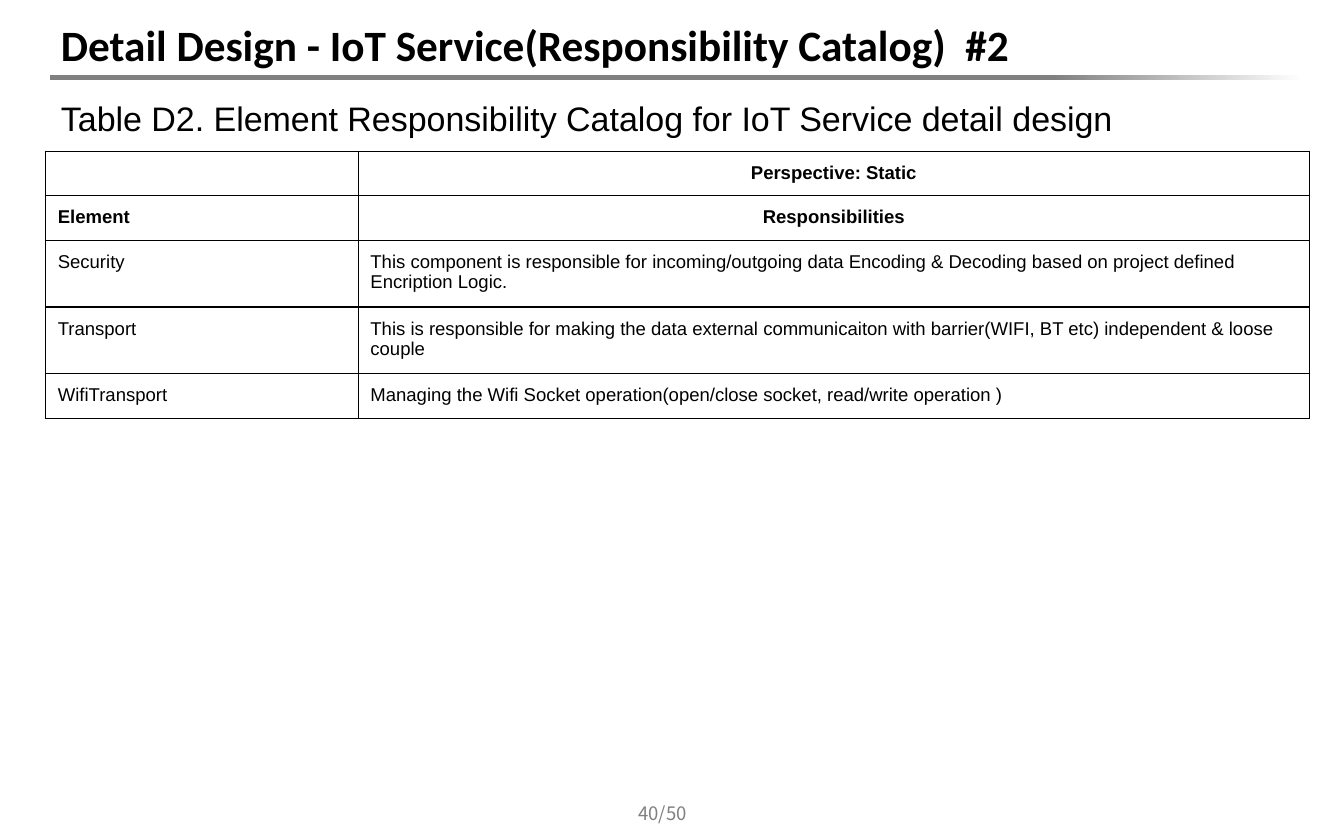
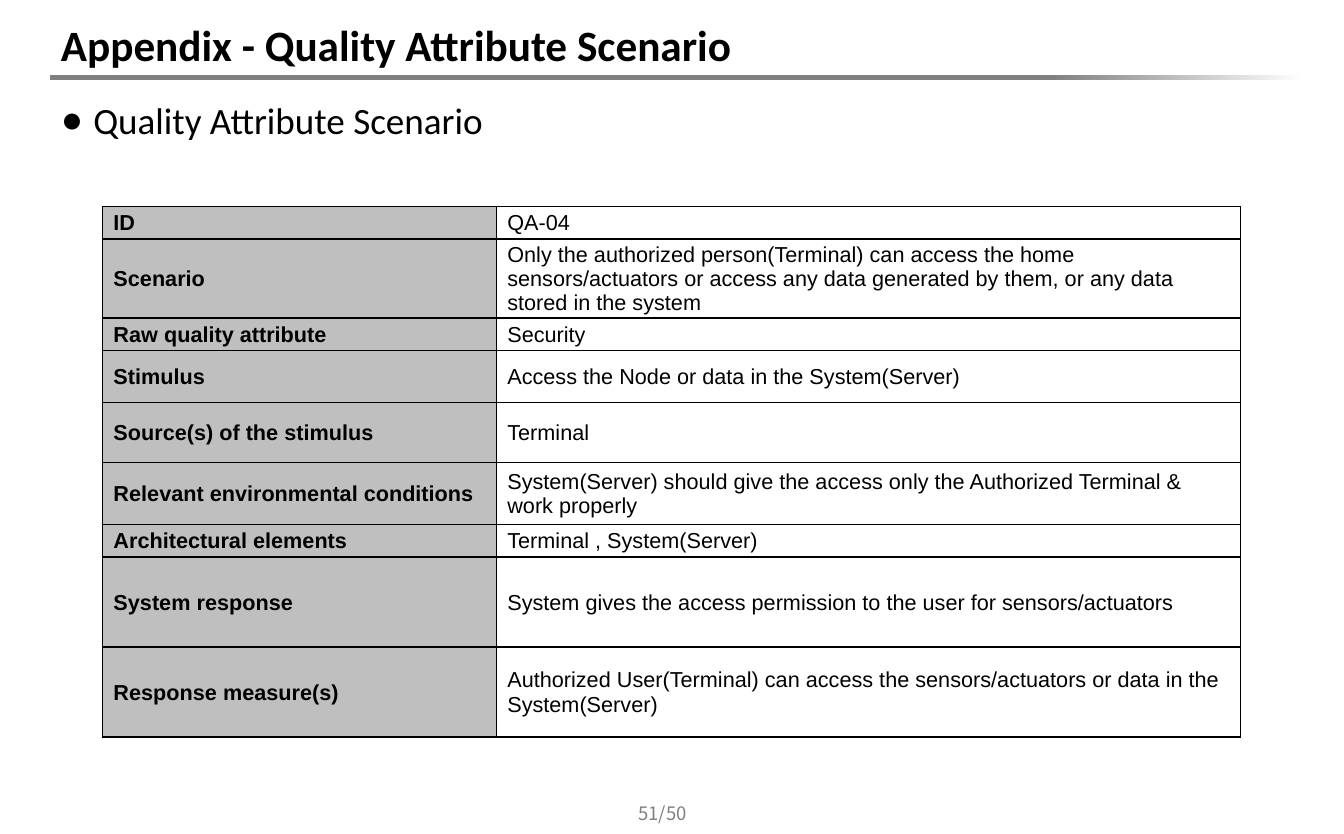
from copy import deepcopy
from lxml.etree import SubElement as Sub
from pptx import Presentation
from pptx.dml.color import RGBColor as Rgb
from pptx.enum.shapes import MSO_SHAPE as Geo
from pptx.enum.text import MSO_ANCHOR as Anchor, PP_ALIGN as Align
from pptx.oxml.ns import qn
from pptx.util import Pt

PX = 9144
BLACK, GRAY, SILVER, WHITE = "000000", "808080", "BFBFBF", "FFFFFF"
HEAD, BODY, FOOT = "Calibri", "Arial", "Noto Sans CJK KR"
LEFT, WIDE = 45, 1126

DUTIES = [
    ("", "Perspective: Static"),
    ("Element", "Responsibilities"),
    ("Security", "This component is responsible for incoming/outgoing data Encoding & Decoding "
                 "based on project defined Encription Logic."),
    ("Transport", "This is responsible for making the data external communicaiton with "
                  "barrier(WIFI, BT etc) independent & loose couple"),
    ("WifiTransport", "Managing the Wifi Socket operation(open/close socket, read/write operation )"),
]
SCENE = [
    ("ID", "QA-04"),
    ("Scenario", "Only the authorized person(Terminal) can access the home sensors/actuators "
                 "or access any data generated by them, or any data stored in the system"),
    ("Raw quality attribute", "Security"),
    ("Stimulus", "Access the Node or data in the System(Server)"),
    ("Source(s) of the stimulus", "Terminal"),
    ("Relevant environmental conditions",
     "System(Server) should give the access only the Authorized Terminal & work properly"),
    ("Architectural elements", "Terminal , System(Server)"),
    ("System response", "System gives the access permission to the user for sensors/actuators"),
    ("Response measure(s)",
     "Authorized User(Terminal) can access the sensors/actuators or data in the System(Server)"),
]


def px(*nums):
    return [n * PX for n in nums]


def color(code):
    return Rgb.from_string(code)


def write(frame, text, size=12, font=BODY, tint=BLACK, bold=False, align=Align.LEFT, bullet=None):
    para = frame.paragraphs[0]
    para.alignment = align
    if bullet:
        props = para._p.get_or_add_pPr()
        props.set("marL", str(29 * PX))
        props.set("indent", str(-29 * PX))
        Sub(props, qn("a:buFont")).set("typeface", BODY)
        Sub(props, qn("a:buChar")).set("char", bullet)
    if not text:
        Sub(para._p, qn("a:endParaRPr")).set("sz", str(size * 100))
        return
    run = para.add_run()
    run.text = text
    run.font.size = Pt(size)
    run.font.name = font
    run.font.bold = bold
    run.font.color.rgb = color(tint)
    for tag in ("a:ea", "a:cs"):
        Sub(run._r.rPr, qn(tag)).set("typeface", font)


def label(slide, box, text, anchor=Anchor.MIDDLE, **style):
    frame = slide.shapes.add_textbox(*px(*box)).text_frame
    frame.word_wrap = True
    frame.vertical_anchor = anchor
    write(frame, text, **style)


def band(slide):
    bar = slide.shapes.add_shape(Geo.FLOWCHART_PROCESS, *px(LEFT, 67, WIDE, 5))
    bar.shadow.inherit = False
    bar.line.fill.background()
    bar.fill.gradient()
    bar.fill.gradient_angle = 0
    first, last = bar.fill.gradient_stops
    first.color.rgb, last.color.rgb = color(GRAY), color(WHITE)
    edge = next(bar._element.iter(qn("a:gs")))
    mid = deepcopy(edge)
    mid.set("pos", "80000")
    edge.addnext(mid)


def page(deck, title, number):
    slide = deck.slides.add_slide(deck.slide_layouts[6])
    band(slide)
    label(slide, (LEFT, 13, WIDE, 54), title, size=28, font=HEAD, bold=True)
    label(slide, (541, 719, 109, 24), number, font=FOOT, tint=GRAY, align=Align.CENTER)
    return slide


def border(cell):
    props = cell._tc.get_or_add_tcPr()
    for spot, side in enumerate(("a:lnL", "a:lnR", "a:lnT", "a:lnB")):
        line = props.makeelement(qn(side), {"w": str(Pt(1))})
        fill = Sub(line, qn("a:solidFill"))
        Sub(fill, qn("a:srgbClr")).set("val", BLACK)
        props.insert(spot, line)


def grid(slide, left, top, cols, rows, data, inset, anchor, look):
    box = px(left, top, sum(cols), sum(rows))
    table = slide.shapes.add_table(len(rows), len(cols), *box).table
    table.first_row = table.horz_banding = False
    for part, sizes in ((table.columns, cols), (table.rows, rows)):
        for item, size in zip(part, sizes):
            if part is table.columns:
                item.width = size * PX
            else:
                item.height = size * PX
    for r, texts in enumerate(data):
        for c, text in enumerate(texts):
            cell = table.cell(r, c)
            (cell.margin_left, cell.margin_top,
             cell.margin_right, cell.margin_bottom) = px(*inset)
            cell.vertical_anchor = anchor
            fill, style = look(r, c)
            cell.fill.solid()
            cell.fill.fore_color.rgb = color(fill)
            write(cell.text_frame, text, **style)
            border(cell)


def duty(r, c):
    top = r < 2
    return WHITE, dict(bold=top, align=Align.CENTER if top and c else Align.LEFT)


def scene(r, c):
    return (WHITE if c else SILVER), dict(size=14, bold=c == 0)


def main():
    deck = Presentation()
    deck.slide_width, deck.slide_height = px(1208, 750)
    area = (LEFT, 83, WIDE, 632)

    slide = page(deck, "Detail Design - IoT Service(Responsibility Catalog)  #2", "40/50")
    label(slide, area, "Table D2. Element Responsibility Catalog for IoT Service detail design",
          anchor=Anchor.TOP, size=22)
    grid(slide, 41, 136, (281, 855), (40, 39, 57, 57, 39), DUTIES,
         (11, 10, 11, 10), Anchor.TOP, duty)

    slide = page(deck, "Appendix - Quality Attribute Scenario", "51/50")
    label(slide, area, "Quality Attribute Scenario",
          anchor=Anchor.TOP, size=24, font=HEAD, bullet="●")
    grid(slide, 92, 186, (354, 669), (29, 65, 29, 47, 54, 56, 29, 81, 81), SCENE,
         (10, 1, 10, 0), Anchor.MIDDLE, scene)

    deck.save("out.pptx")


if __name__ == "__main__":
    main()
